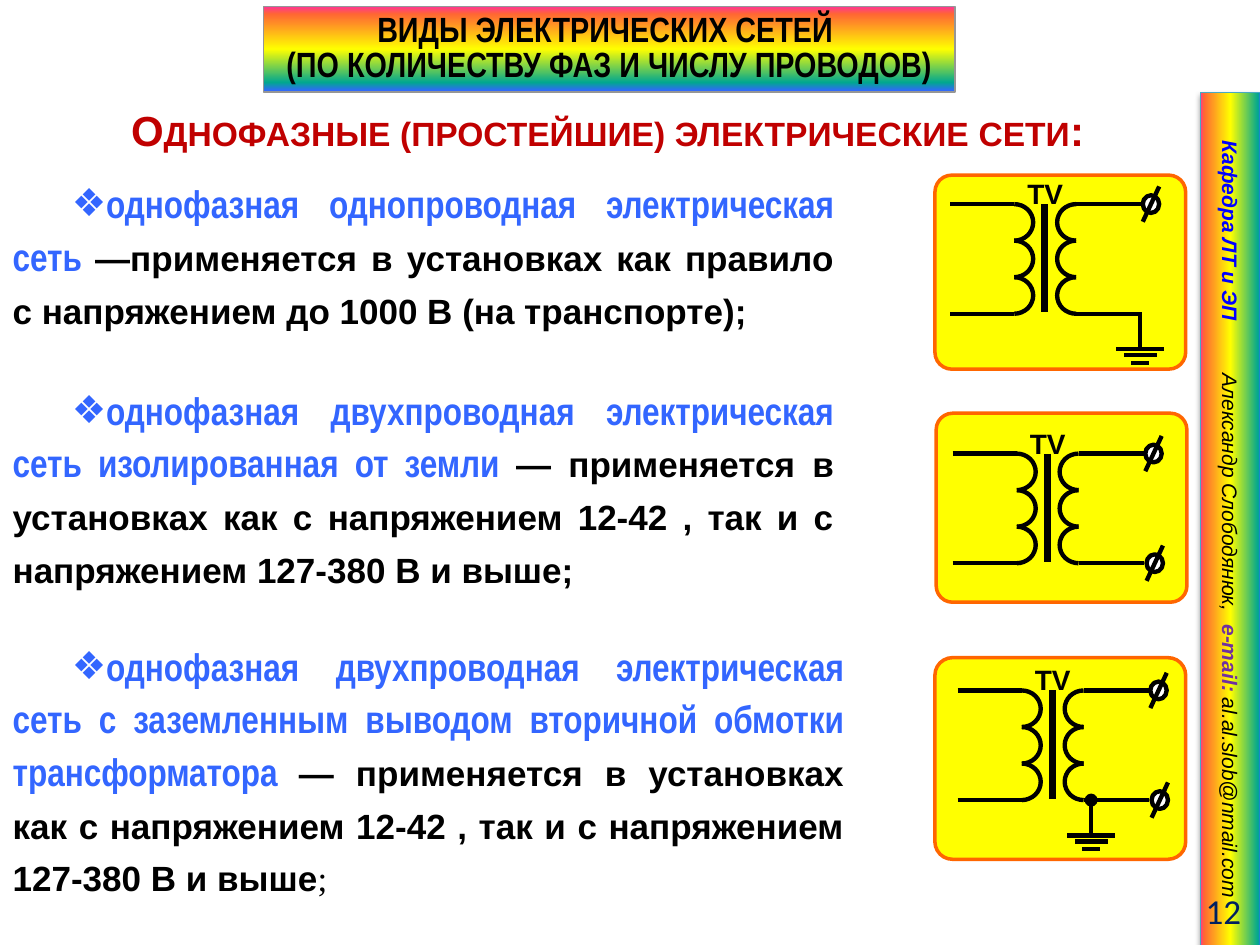
import math
from lxml import etree
from pptx import Presentation, util as u
from pptx.dml.color import RGBColor
from pptx.enum import shapes, text
from pptx.oxml import parse_xml
from pptx.oxml.ns import nsdecls, qn

BLACK, BLUE = "000000", "3366FF"
TITLE = ["ВИДЫ ЭЛЕКТРИЧЕСКИХ СЕТЕЙ ", "(ПО КОЛИЧЕСТВУ ФАЗ И ЧИСЛУ ПРОВОДОВ)"]
HEADING = "Однофазные (простейшие) электрические сети"
VOLTAGES = "— применяется в установках как с напряжением 12-42 , так и с напряжением 127-380 В и выше"
# (left, top, width, height), term, description, closing mark in a serif face
NETWORKS = [
    ((0, 1.33, 6.72, 1.25), "однофазная однопроводная электрическая сеть ",
     "—применяется в установках как правило с напряжением до 1000 В (на транспорте);", ""),
    ((0, 2.97, 6.72, 1.64), "однофазная двухпроводная электрическая сеть изолированная от земли ",
     VOLTAGES + ";", ""),
    ((0, 5, 6.8, 2.03), "однофазная двухпроводная электрическая сеть с заземленным выводом "
     "вторичной обмотки трансформатора ", VOLTAGES, ";"),
]
# text, colour, bold
CONTACTS = [
    ("Кафедра ЛТ и ЭП\t", "0000FF", True),
    ("Александр Слободянюк,\t", BLACK, False),
    ("e-mail: ", "7030A0", True),
    ("al.al.slob@nmail.com", BLACK, False),
]
CONTACT_TABS = [1.85, 3.84]
# panel, top of the primary coil, lower terminal?, ground offset, dot on the ground?
CIRCUITS = [
    ((7.42, 1.39, 1.99, 1.54), (8.05, 1.62), False, 1.0, False),
    ((7.43, 3.28, 1.99, 1.5), (8.07, 3.6), True, None, False),
    ((7.42, 5.22, 1.99, 1.6), (8.11, 5.48), True, 0.55, True),
]
TURN, TURNS, BULGE = 0.29, 3, 0.15
COIL = TURN * TURNS
GROUND_PLATES = [(1.15, 0.19), (1.2, 0.13), (1.26, 0.07)]  # offset down, half width
RAINBOW = ["FF3399", "FF6633", "FFFF00", "01A78F", "3366FF"]


def rgb(code):
    return RGBColor.from_string(code)


def inches(values):
    return [u.Inches(value) for value in values]


def place(shape, area):
    shape.left, shape.top, shape.width, shape.height = inches(area)


def add_span(para, words, size, face, color, bold=False, italic=False):
    span = para.add_run()
    span.text = words
    font = span.font
    font.size, font.name, font.bold, font.italic = u.Pt(size), face, bold, italic
    font.color.rgb = rgb(color)
    return span


def set_frame(shape, anchor, margin=None):
    frame = shape.text_frame
    frame.word_wrap = True
    frame.auto_size = text.MSO_AUTO_SIZE.NONE
    frame.vertical_anchor = anchor
    if margin is not None:
        frame.margin_left = frame.margin_right = u.Inches(margin)
        frame.margin_top = frame.margin_bottom = u.Inches(margin)
    return frame


def set_line(shape, color, width):
    shape.line.color.rgb = rgb(color)
    shape.line.width = u.Pt(width)


def fill_rainbow(shape, positions, angle):
    """Five-stop gradient; positions in percent, angle clockwise in degrees."""
    shape.fill.gradient()
    grad = shape._element.spPr.find(qn("a:gradFill"))
    stops = "".join(f'<a:gs pos="{pos * 1000}"><a:srgbClr val="{color}"/></a:gs>'
                    for pos, color in zip(positions, RAINBOW))
    grad.getparent().replace(grad, parse_xml(
        f'<a:gradFill {nsdecls("a")} rotWithShape="1"><a:gsLst>{stops}</a:gsLst>'
        f'<a:lin ang="{angle * 60000}" scaled="0"/></a:gradFill>'))


def add_title(page):
    box = page.shapes.title
    place(box, (2.09, 0.05, 5.49, 0.68))
    box._element.spPr.append(parse_xml(
        f'<a:prstGeom {nsdecls("a")} prst="roundRect"><a:avLst/></a:prstGeom>'))
    fill_rainbow(box, [0, 9, 50, 89, 99], 90)
    set_line(box, "969696", 0.75)
    frame = set_frame(box, text.MSO_ANCHOR.MIDDLE, 0.04)
    for i, words in enumerate(TITLE):
        para = frame.add_paragraph() if i else frame.paragraphs[0]
        para.alignment = text.PP_ALIGN.CENTER
        para.line_spacing, para.space_before = u.Pt(20), u.Pt(0)
        add_span(para, words, 20, "Arial Narrow", BLACK, True)


def add_heading(box):
    place(box, (0.94, 0.78, 7.97, 0.5))
    para = set_frame(box, text.MSO_ANCHOR.MIDDLE).paragraphs[0]
    para.space_before = u.Pt(0)
    span = add_span(para, HEADING, 24, "Arial", "C00000", True)
    span._r.get_or_add_rPr().set("cap", "small")
    add_span(para, ":", 24, "Arial", "C00000", True)


def add_network(box, area, term, description, ending):
    place(box, area)
    para = set_frame(box, text.MSO_ANCHOR.TOP).paragraphs[0]
    para.alignment = text.PP_ALIGN.JUSTIFY
    para.line_spacing, para.space_before = u.Pt(30), u.Pt(0)
    props = para._p.get_or_add_pPr()
    props.set("marL", "0")
    props.set("indent", str(u.Inches(0.47)))
    etree.SubElement(props, qn("a:buChar")).set("char", "❖")
    add_span(para, term, 22, "Arial Narrow", BLUE, True)
    add_span(para, description, 20, "Arial", BLACK, True)
    if ending:
        add_span(para, ending, 20, "Times New Roman", BLACK)


def add_sidebar(page):
    bar = page.shapes.add_shape(shapes.MSO_SHAPE.RECTANGLE, *inches((6.38, 3.88, 6.77, 0.48)))
    bar.rotation = 90
    fill_rainbow(bar, [0, 6, 50, 96, 100], 270)
    set_line(bar, "46AAC5", 0.75)
    bar._element.spPr.append(parse_xml(
        f'<a:effectLst {nsdecls("a")}><a:outerShdw blurRad="{u.Pt(3.1)}" dist="{u.Pt(1.6)}" '
        'dir="5400000" rotWithShape="0"><a:srgbClr val="000000"><a:alpha val="38000"/>'
        '</a:srgbClr></a:outerShdw></a:effectLst>'))
    frame = set_frame(bar, text.MSO_ANCHOR.MIDDLE)
    frame.margin_left, frame.margin_right = u.Inches(0.38), 0
    para = frame.paragraphs[0]
    para.alignment = text.PP_ALIGN.LEFT
    tabs = etree.SubElement(para._p.get_or_add_pPr(), qn("a:tabLst"))
    for stop in CONTACT_TABS:
        etree.SubElement(tabs, qn("a:tab"), pos=str(u.Inches(stop)), algn="l")
    for words, color, bold in CONTACTS:
        add_span(para, words, 12, "Arial", color, bold, True)

    number = page.shapes.add_textbox(*inches((8.86, 7.03, 1.09, 0.4)))
    para = set_frame(number, text.MSO_ANCHOR.MIDDLE).paragraphs[0]
    para.alignment = text.PP_ALIGN.RIGHT
    add_span(para, "12", 20, "Calibri", "002060")


def add_circuit(page, panel, origin, lower_terminal, ground, dot):
    group = page.shapes.add_group_shape().shapes
    x0, y0 = origin

    def wire(x1, y1, x2, y2, width=2.5):
        line = group.add_connector(shapes.MSO_CONNECTOR.STRAIGHT,
                                   *inches((x0 + x1, y0 + y1, x0 + x2, y0 + y2)))
        set_line(line, BLACK, width)
        etree.SubElement(line._element.spPr, qn("a:effectLst"))
        return line

    def turn(x, y, side):
        """Half-circle turn of a coil, bulging right (1) or left (-1)."""
        steps = [math.pi * i / 16 for i in range(17)]
        points = [(x0 + x + side * BULGE * math.sin(a),
                   y0 + y + TURN / 2 * (1 - math.cos(a))) for a in steps]
        pen = group.build_freeform(*inches(points[0]), scale=1.0)
        pen.add_line_segments([inches(point) for point in points[1:]], close=False)
        arc = pen.convert_to_shape()
        arc.fill.background()
        arc.shadow.inherit = False
        set_line(arc, BLACK, 2.5)

    def solid(kind, area, fill, line, width):
        shape = group.add_shape(kind, *inches(area))
        shape.shadow.inherit = False
        shape.fill.solid()
        shape.fill.fore_color.rgb = rgb(fill)
        set_line(shape, line, width)
        return shape

    def terminal(x, y):
        solid(shapes.MSO_SHAPE.OVAL, (x0 + x, y0 + y - 0.07, 0.13, 0.14), "FFFFFF", BLACK, 2.5)
        wire(x, y + 0.14, x + 0.13, y - 0.14)

    frame = solid(shapes.MSO_SHAPE.ROUNDED_RECTANGLE, panel, "FFFF00", "FF6600", 2)
    frame.adjustments[0] = 0.087
    for axis, side, lead_end in ((0, 1, -0.51), (0.49, -1, 1.01)):
        for i in range(TURNS):
            turn(axis, i * TURN, side)
        for y in (0, COIL):
            wire(lead_end, y, axis, y)
    wire(0.24, 0, 0.24, COIL - 0.01, 4)
    terminal(1.02, 0)
    if lower_terminal:
        terminal(1.03, COIL)
    if ground:
        stem = wire(ground, COIL, ground, GROUND_PLATES[0][0])
        if dot:
            etree.SubElement(stem.line._get_or_add_ln(), qn("a:headEnd"), type="oval")
        for y, half in GROUND_PLATES:
            wire(ground - half, y, ground + half, y)
    label = group.add_textbox(*inches((x0 - 0.02, y0 - 0.23, 0.53, 0.29)))
    para = set_frame(label, text.MSO_ANCHOR.MIDDLE, 0.04).paragraphs[0]
    para.alignment = text.PP_ALIGN.CENTER
    add_span(para, "TV", 16, "Arial", BLACK, True)


def main():
    deck = Presentation()
    deck.slide_width, deck.slide_height = inches((10, 7.5))
    page = deck.slides.add_slide(deck.slide_layouts.get_by_name("Comparison"))
    heading, *bodies = [box for box in page.placeholders if 1 <= box.placeholder_format.idx <= 4]
    add_title(page)
    add_heading(heading)
    for box, network in zip(bodies, NETWORKS):
        add_network(box, *network)
    add_sidebar(page)
    for circuit in CIRCUITS:
        add_circuit(page, *circuit)
    deck.save("out.pptx")


if __name__ == "__main__":
    main()
